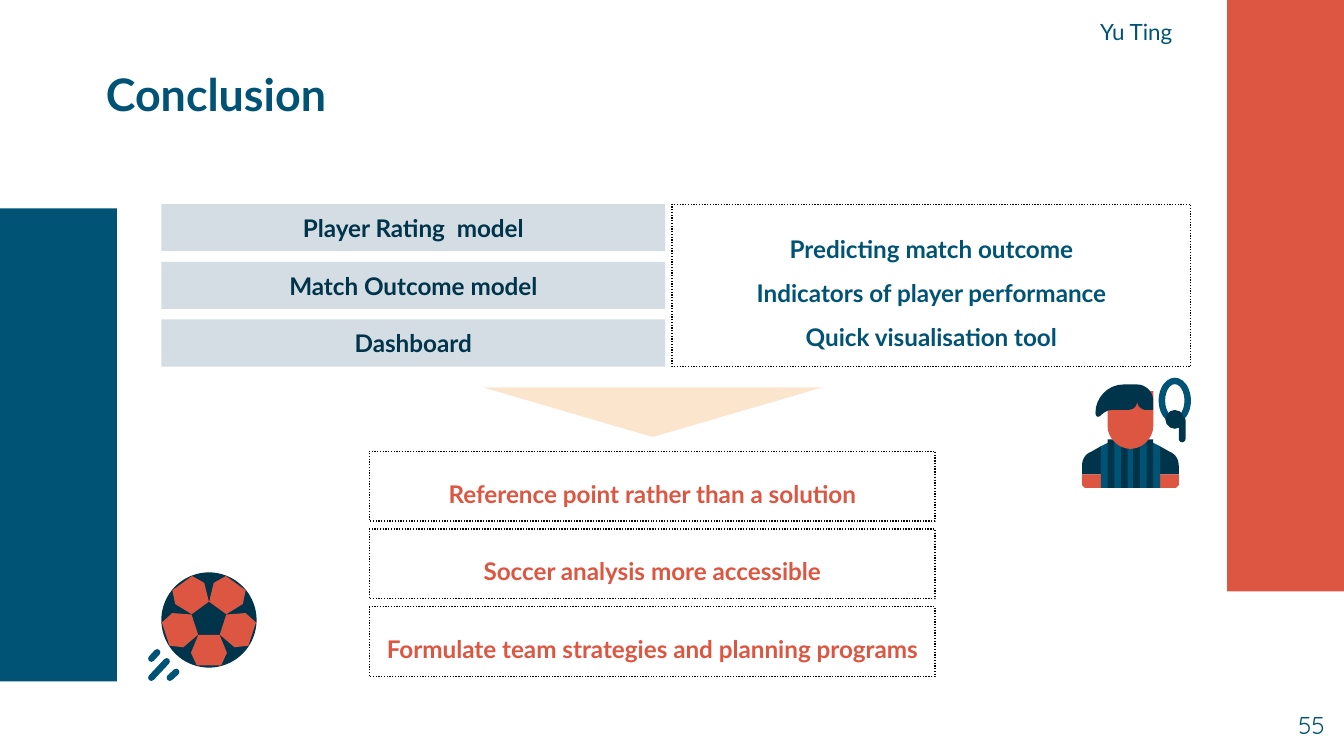
import math
from lxml import etree
from pptx import Presentation
from pptx.dml.color import RGBColor
from pptx.enum import dml, shapes, text
from pptx.oxml import ns
from pptx.util import Cm, Pt

# Content
TITLE = "Conclusion"
PRESENTER = "Yu Ting"
NUMBER = "55"
MODELS = ["Player Rating  model", "Match Outcome model", "Dashboard"]
OUTCOMES = ["Predicting match outcome", "Indicators of player performance",
            "Quick visualisation tool"]
TAKEAWAYS = ["Reference point rather than a solution", "Soccer analysis more accessible",
             "Formulate team strategies and planning programs"]

BLUE, NAVY, RED = "005375", "00344A", "DC5641"
GREY, CREAM, BLACK = "D4DDE3", "FCE5CD", "000000"
KIND = shapes.MSO_SHAPE
ALIGN = text.PP_ALIGN
ANCHOR = text.MSO_ANCHOR

# Ball, in cm: panel corners as (outward, sideways) from the centre
BALL_CENTRE, BALL_RADIUS = (3.95, 11.72), 0.9
PANEL = [(0.28, -0.2), (0.62, -0.34), (0.86, -0.23),
         (0.86, 0.23), (0.62, 0.34), (0.28, 0.2)]
SPEED_LINES = [(3.15, 12.5, 2.86, 12.81), (3.33, 12.7, 3.21, 12.81),
               (2.97, 12.33, 2.86, 12.45)]

# Player, in small units: pairs are corners, sixes are Bezier curves
PLAYER_ORIGIN, PLAYER_UNIT, PLAYER_WIDTH = (20.45, 7.14), 0.0254, 72
SLEEVE = [(14, 51), (7, 55), (2, 57, 0, 61, 0, 66), (0, 72), (14, 72)]
FOREARM = [(0, 72), (14, 72), (14, 82), (2, 82), (0, 80)]
SHIRT = [(14, 51), (26, 45), (46, 45), (58, 51), (58, 82), (14, 82)]
FACE = [(19, 10), (19, 36), (19, 45, 27, 53, 36, 53), (45, 53, 53, 45, 53, 36), (53, 10)]
HAIR = [(31, 5), (19, 5, 10, 15, 10, 26), (10, 29, 12, 30, 14, 28),
        (16, 26, 19, 24, 22, 24), (33, 24), (39, 24, 41, 21, 41, 17),
        (41, 21, 44, 24, 48, 24), (53, 24), (53, 17), (53, 10, 47, 5, 41, 5)]
STRIPES = [(x, 46, 5, 36) for x in (19, 29, 38, 48)]


def color(value):
    return RGBColor.from_string(value)


def paint(shape, fill=None, dotted=False):
    if fill:
        shape.fill.solid()
        shape.fill.fore_color.rgb = color(fill)
    else:
        shape.fill.background()
    if dotted:
        shape.line.color.rgb = color(BLACK)
        shape.line.width = Pt(0.75)
        shape.line.dash_style = dml.MSO_LINE.ROUND_DOT
    else:
        shape.line.fill.background()


def add_shape(parent, kind, box, fill=None, dotted=False):
    shape = parent.add_shape(kind, *map(Cm, box))
    shape.shadow.inherit = False
    paint(shape, fill, dotted)
    return shape


def write(shape, lines, ink, size=13, bold=False, align=ALIGN.CENTER,
          anchor=ANCHOR.MIDDLE, spacing=1.0, font="Lato"):
    frame = shape.text_frame
    frame.word_wrap = True
    frame.auto_size = text.MSO_AUTO_SIZE.NONE
    frame.vertical_anchor = anchor
    frame.margin_left = frame.margin_right = Cm(0.25)
    frame.margin_top = frame.margin_bottom = Cm(0.25)
    frame.text = "\n".join(lines)
    for paragraph in frame.paragraphs:
        paragraph.alignment = align
        paragraph.line_spacing = spacing
        paragraph.space_before = Pt(0)
        for run in paragraph.runs:
            run.font.name = font
            run.font.size = Pt(size)
            run.font.bold = bold
            run.font.color.rgb = color(ink)


def place(shape, box):
    shape.left, shape.top, shape.width, shape.height = map(Cm, box)


def add_outline(parent, points, fill):
    points = [(Cm(x), Cm(y)) for x, y in points]
    builder = parent.build_freeform(*points[0])
    builder.add_line_segments(points[1:], close=True)
    shape = builder.convert_to_shape()
    shape.shadow.inherit = False
    paint(shape, fill)


def flatten(outline, steps=8):
    points = []
    for item in outline:
        if len(item) == 2:
            points.append(item)
            continue
        curve = [points[-1], item[:2], item[2:4], item[4:]]
        for step in range(1, steps + 1):
            t = step / steps
            weights = [math.comb(3, i) * t ** i * (1 - t) ** (3 - i) for i in range(4)]
            points.append(tuple(sum(w * p[axis] for w, p in zip(weights, curve))
                                for axis in (0, 1)))
    return points


def draw_ball(parent):
    x, y = BALL_CENTRE
    add_shape(parent, KIND.OVAL, (x - BALL_RADIUS, y - BALL_RADIUS,
                                  2 * BALL_RADIUS, 2 * BALL_RADIUS), NAVY)
    for index in range(5):
        angle = math.radians(36 + 72 * index)
        sine, cosine = math.sin(angle), math.cos(angle)
        add_outline(parent, [(x + out * sine + side * cosine, y - out * cosine + side * sine)
                             for out, side in PANEL], RED)
    for ends in SPEED_LINES:
        line = parent.add_connector(shapes.MSO_CONNECTOR.STRAIGHT, *map(Cm, ends))
        line.line.color.rgb = color(BLUE)
        line.line.width = Pt(3.5)
        line.line._get_or_add_ln().set("cap", "rnd")
        etree.SubElement(line._element.spPr, ns.qn("a:effectLst"))


def draw_player(parent):
    left, top = PLAYER_ORIGIN

    def outline(points, fill):
        add_outline(parent, [(left + x * PLAYER_UNIT, top + y * PLAYER_UNIT)
                             for x, y in flatten(points)], fill)

    def preset(kind, x, y, width, height, fill):
        return add_shape(parent, kind, (left + x * PLAYER_UNIT, top + y * PLAYER_UNIT,
                                        width * PLAYER_UNIT, height * PLAYER_UNIT), fill)

    for part, fill in ((SLEEVE, NAVY), (FOREARM, RED)):
        outline(part, fill)
        outline([(PLAYER_WIDTH - x, y) for x, y in flatten(part)], fill)
    outline(SHIRT, BLUE)
    for stripe in STRIPES:
        preset(KIND.RECTANGLE, *stripe, NAVY)
    outline(FACE, RED)
    outline(HAIR, NAVY)
    # Racket and ball
    preset(KIND.DONUT, 57, 0, 24, 34, BLUE).adjustments[0] = 0.2
    preset(KIND.ROUNDED_RECTANGLE, 72, 29, 5, 19, NAVY).adjustments[0] = 0.5
    preset(KIND.OVAL, 62, 24, 14, 14, NAVY)


def main():
    presentation = Presentation()
    presentation.slide_width, presentation.slide_height = Cm(25.4), Cm(14.29)
    slide = presentation.slides.add_slide(presentation.slide_layouts[1])
    canvas = slide.shapes

    # Side bars
    add_shape(canvas, KIND.RECTANGLE, (0, 3.94, 2.21, 8.94), BLUE)
    add_shape(canvas, KIND.RECTANGLE, (23.19, 0, 2.21, 11.18), RED)

    # Title, presenter and slide number
    place(canvas.title, (1.75, 1.22, 22.4, 1.09))
    write(canvas.title, [TITLE], BLUE, 24, True, ALIGN.LEFT)
    presenter = canvas.add_textbox(*map(Cm, (17.55, 0.1, 7.85, 0.86)))
    write(presenter, [PRESENTER], BLUE, 12, anchor=ANCHOR.TOP)
    number = canvas.add_textbox(*map(Cm, (23.77, 13.18, 1.52, 1.09)))
    write(number, [NUMBER], BLUE, align=ALIGN.RIGHT, anchor=ANCHOR.TOP, font="Quicksand")

    # Models and what they give
    for index, model in enumerate(MODELS):
        row = add_shape(canvas, KIND.RECTANGLE, (3.05, 3.86 + 1.09 * index, 9.52, 0.89), GREY)
        write(row, [model], NAVY, bold=True)
    outcomes = slide.placeholders[1]
    place(outcomes, (12.7, 3.86, 9.8, 3.07))
    paint(outcomes, dotted=True)
    write(outcomes, OUTCOMES, BLUE, bold=True, spacing=1.5)
    for paragraph in outcomes.text_frame.paragraphs:
        properties = paragraph._p.get_or_add_pPr()
        properties.set("marL", "0")
        properties.set("indent", "0")
        etree.SubElement(properties, ns.qn("a:buNone"))

    # Takeaways below the arrow
    add_shape(canvas, KIND.ISOSCELES_TRIANGLE, (9.12, 7.32, 6.43, 0.94), CREAM).rotation = 180
    for index, takeaway in enumerate(TAKEAWAYS):
        box = add_shape(canvas, KIND.RECTANGLE, (6.98, 8.53 + 1.47 * index, 10.69, 1.32),
                        dotted=True)
        write(box, [takeaway], RED, bold=True, spacing=1.5)

    # Icons
    draw_ball(canvas.add_group_shape().shapes)
    draw_player(canvas.add_group_shape().shapes)

    presentation.save("out.pptx")


if __name__ == "__main__":
    main()
